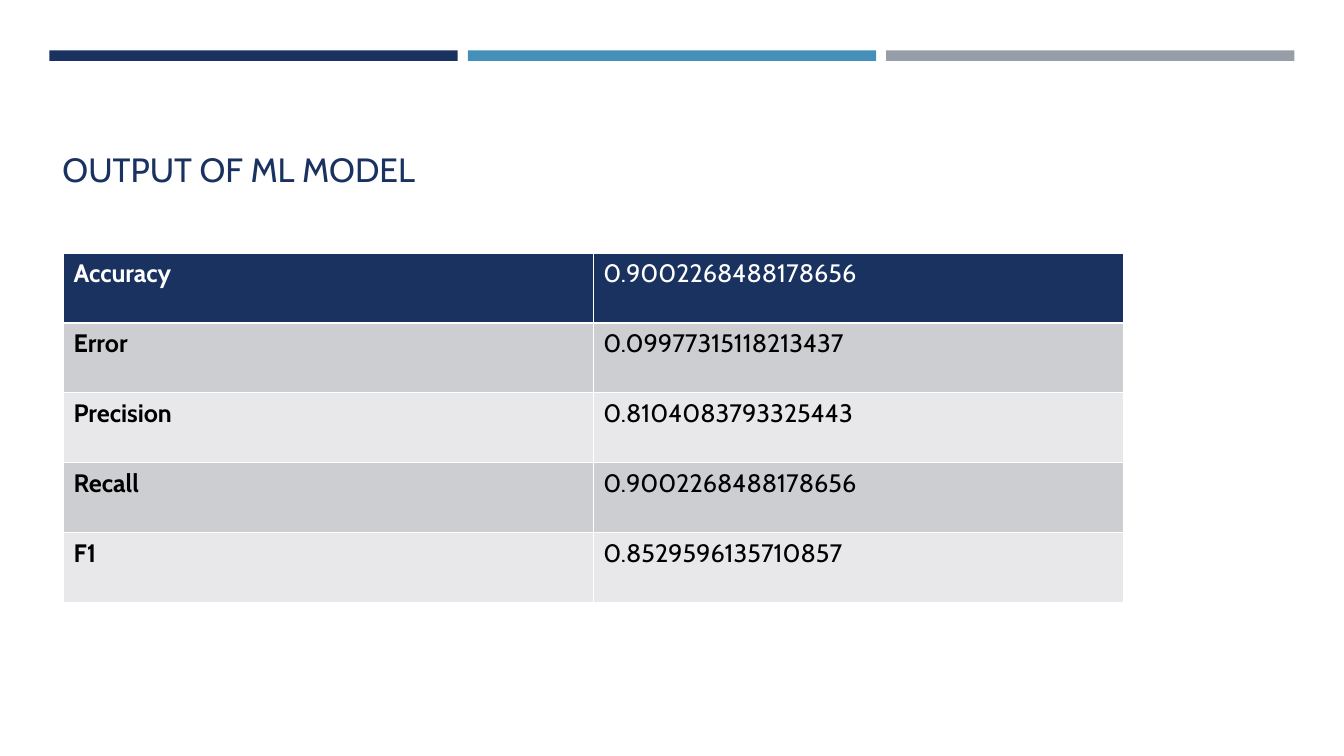
from pptx import Presentation
from pptx import util as u
from pptx.dml.color import RGBColor
from pptx.enum import shapes, text

NAVY, BLUE, GREY = "1A3260", "4590B8", "969FA7"
WHITE, BLACK = "FFFFFF", "000000"
BANDS = ["E8E8EA", "CDCED2"]
METRICS = [
    ("Accuracy", "0.9002268488178656"),
    ("Error", "0.09977315118213437"),
    ("Precision", "0.8104083793325443"),
    ("Recall", "0.9002268488178656"),
    ("F1", "0.8529596135710857"),
]


def paint(target, colour):
    """Give a fill a solid colour from a hex string."""
    target.solid()
    target.fore_color.rgb = RGBColor.from_string(colour)


class Report:
    """Hold the style and the current page, placing elements in percent of the slide."""

    font = "Cabin"

    def __init__(self):
        """Open a widescreen deck with one title page."""
        self.deck = Presentation()
        self.deck.slide_width = u.Inches(13.33)
        self.deck.slide_height = u.Inches(7.5)
        self.page = self.deck.slides.add_slide(self.deck.slide_layouts[5])
        paint(self.page.background.fill, WHITE)

    def area(self, left, top, width, height):
        """Turn percentages of the slide into lengths."""
        across, down = self.deck.slide_width / 100, self.deck.slide_height / 100
        return [u.Emu(round(size)) for size in
                (left * across, top * down, width * across, height * down)]

    def style(self, para, size, colour, bold=False):
        """Left-align a paragraph and format its runs."""
        para.alignment = text.PP_ALIGN.LEFT
        for span in para.runs:
            span.font.name = self.font
            span.font.size = u.Pt(size)
            span.font.bold = bold
            paint(span.font.fill, colour)

    def bar(self, area, colour):
        """Draw a plain coloured bar."""
        box = self.page.shapes.add_shape(shapes.MSO_SHAPE.RECTANGLE, *self.area(*area))
        box.shadow.inherit = False
        box.line.fill.background()
        paint(box.fill, colour)

    def title(self, area, wording):
        """Move and fill the title placeholder."""
        box = self.page.shapes.title
        box.left, box.top, box.width, box.height = self.area(*area)
        frame = box.text_frame
        frame.text = wording
        frame.auto_size = text.MSO_AUTO_SIZE.NONE
        frame.vertical_anchor = text.MSO_ANCHOR.BOTTOM
        self.style(frame.paragraphs[0], 24, NAVY)

    def table(self, area, rows):
        """Add a banded table with a dark first row and bold labels."""
        grid = self.page.shapes.add_table(len(rows), len(rows[0]), *self.area(*area)).table
        for r, row in enumerate(rows):
            for c, wording in enumerate(row):
                cell = grid.cell(r, c)
                cell.text_frame.text = wording
                paint(cell.fill, BANDS[r % 2] if r else NAVY)
                self.style(cell.text_frame.paragraphs[0], 18, BLACK if r else WHITE, c == 0)


def main():
    """Build and save the page."""
    report = Report()
    for column, colour in enumerate((NAVY, BLUE, GREY)):
        report.bar((3.68 + 31.13 * column, 6.67, 30.38, 1.4), colour)
    report.title((3.9, 17.47, 90.47, 8.27), "OUTPUT OF ML MODEL")
    report.table((4.73, 33.47, 78.84, 46.27), METRICS)
    report.deck.save("out.pptx")


if __name__ == "__main__":
    main()
